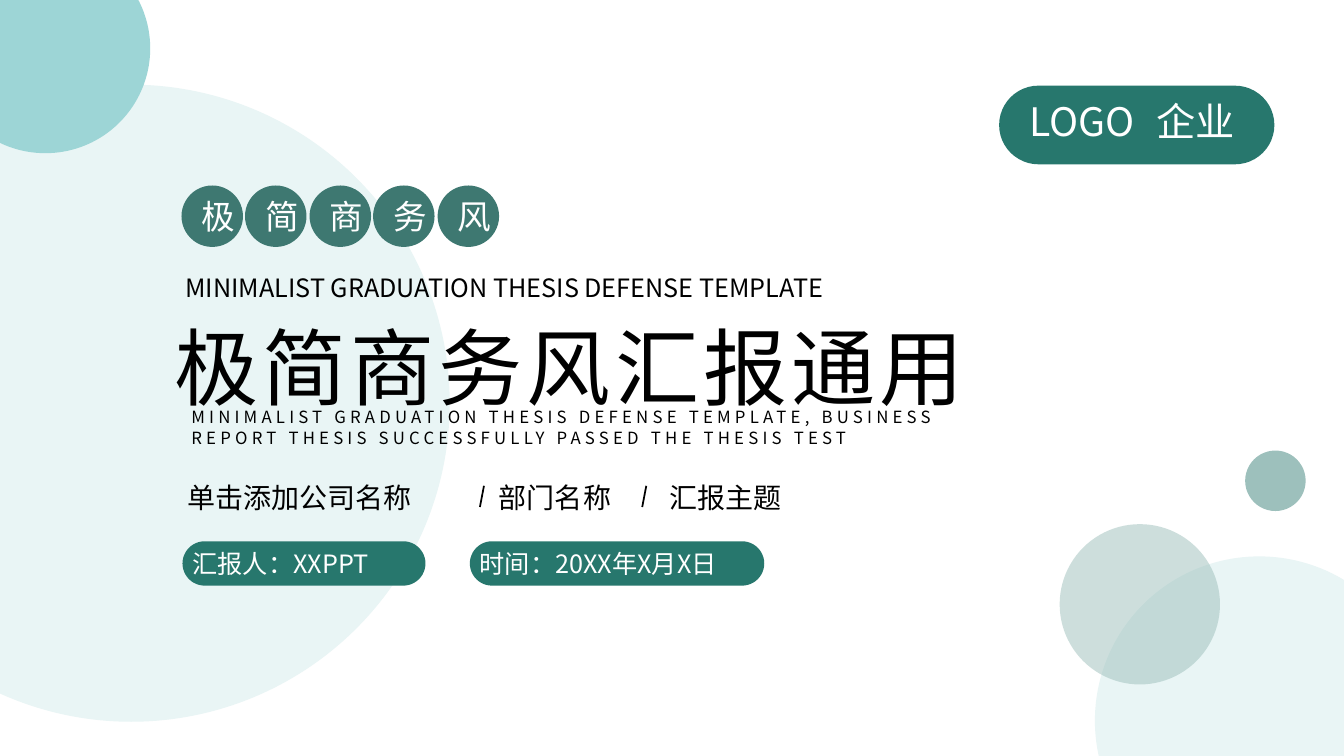
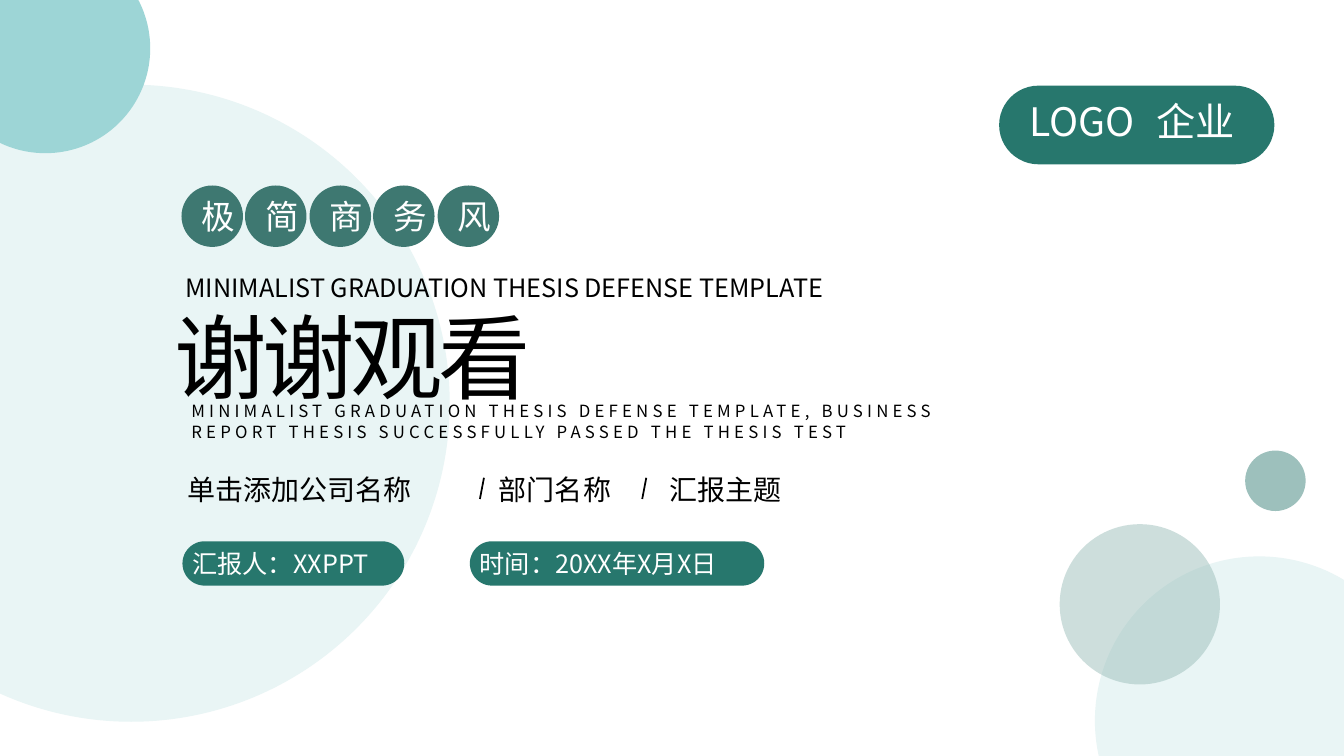
from lxml import etree
from pptx import Presentation
from pptx.dml.color import RGBColor
from pptx.enum.shapes import MSO_CONNECTOR, MSO_SHAPE
from pptx.enum.text import MSO_AUTO_SIZE, PP_ALIGN
from pptx.oxml.ns import qn
from pptx.util import Emu, Pt

ELLIPSE = MSO_SHAPE.OVAL
ROUNDED = MSO_SHAPE.ROUNDED_RECTANGLE
STRAIGHT = MSO_CONNECTOR.STRAIGHT
LEFT, CENTER, JUSTIFY = PP_ALIGN.LEFT, PP_ALIGN.CENTER, PP_ALIGN.JUSTIFY
GROW = MSO_AUTO_SIZE.SHAPE_TO_FIT_TEXT

FONT = "Noto Sans CJK SC"
EMU_PER_PX = 9144  # 100 px to the inch
WIDTH, HEIGHT = 1333, 750

WHITE, BLACK = "FFFFFF", "000000"
PALE, AQUA, SAGE = "E9F5F5", "9DD5D6", "9DC0BC"
GREEN, BADGE_GREEN = "27776D", "3E7871"

BADGES = "极简商务风"
ENGLISH_TITLE = "MINIMALIST GRADUATION THESIS DEFENSE TEMPLATE"
SUBTITLE = (ENGLISH_TITLE + ", BUSINESS REPORT THESIS "
            "SUCCESSFULLY PASSED THE THESIS TEST")


def px(length):
    return Emu(length * EMU_PER_PX)


def color(value):
    return RGBColor.from_string(value)


class Deck:
    """Holds the shared style and the slide being drawn."""

    def __init__(self):
        self.presentation = Presentation()
        self.presentation.slide_width = px(WIDTH)
        self.presentation.slide_height = px(HEIGHT)
        self.slide = None

    def new_slide(self):
        self.slide = self.presentation.slides.add_slide(
            self.presentation.slide_layouts[6])
        background = self.slide.background.fill
        background.solid()
        background.fore_color.rgb = color(WHITE)

    def shape(self, kind, left, top, width, height, fill):
        shape = self.slide.shapes.add_shape(
            kind, px(left), px(top), px(width), px(height))
        shape.shadow.inherit = False
        shape.fill.solid()
        shape.fill.fore_color.rgb = color(fill)
        shape.line.fill.background()
        return shape

    def circle(self, left, top, size, fill, opacity=100):
        shape = self.shape(ELLIPSE, left, top, size, size, fill)
        if opacity < 100:
            fill_color = shape._element.spPr.find(
                qn("a:solidFill")).find(qn("a:srgbClr"))
            alpha = etree.SubElement(fill_color, qn("a:alpha"))
            alpha.set("val", str(opacity * 1000))

    def pill(self, left, top, width, height):
        self.shape(ROUNDED, left, top, width, height, GREEN).adjustments[0] = 0.5

    def text(self, text, left, top, width, height, size,
             fill=BLACK, align=JUSTIFY, spacing=0):
        box = self.slide.shapes.add_textbox(
            px(left), px(top), px(width), px(height))
        frame = box.text_frame
        frame.word_wrap = True
        frame.auto_size = GROW
        frame.text = text
        paragraph = frame.paragraphs[0]
        paragraph.alignment = align
        run = paragraph.runs[0]
        run.font.size = Pt(size)
        run.font.color.rgb = color(fill)
        run.font.name = FONT
        properties = run._r.get_or_add_rPr()
        etree.SubElement(properties, qn("a:ea")).set("typeface", FONT)
        if spacing:
            properties.set("spc", str(spacing * 100))

    def slash(self, left, top):
        line = self.slide.shapes.add_connector(
            STRAIGHT, px(left), px(top + 21), px(left + 4), px(top))
        line.line.color.rgb = color(BLACK)
        line.line.width = Pt(1.25)
        etree.SubElement(line._element.spPr, qn("a:effectLst"))

    def badges(self):
        lefts = [180 + index * 127 // 2 for index in range(len(BADGES))]
        for left in lefts:
            self.circle(left, 184, 61, BADGE_GREEN)
        for left, character in zip(lefts, BADGES):
            self.text(character, left + 10, 189, 42, 50, 24, WHITE, CENTER)

    def details(self, top):
        self.text("单击添加公司名称", 176, top, 290, 44, 20)
        for left, label in ((485, "部门名称"), (654, "汇报主题")):
            self.text(label, left, top, 144, 44, 20)
        for left in (476, 637):
            self.slash(left, top + 10)

    def tag(self, text, left, width):
        self.pill(left, 537, width, 44)
        # The box is a little wider than the pill to keep one line
        self.text(text, left, 539, width + 4, 40, 18, WHITE)

    def logo(self):
        self.pill(991, 85, 273, 78)
        self.text("LOGO", 1011, 92, 140, 57, 28, WHITE, LEFT)
        self.text("企业", 1119, 92, 133, 57, 28, WHITE, CENTER)

    def cover(self, title, subtitle_top, details_top, reporter_width):
        """Draws a cover; title holds the arguments of its text box."""
        self.new_slide()
        # Upper left circles and badges
        self.circle(-186, 84, 632, PALE)
        self.circle(-59, -56, 208, AQUA)
        self.badges()
        # Titles
        self.text(**title)
        self.text(ENGLISH_TITLE, 174, 265, 871, 40, 18)
        # Lower right circles
        self.circle(1086, 552, 326, PALE)
        self.circle(1235, 447, 60, SAGE)
        # Subtitle, details and tags
        self.text(SUBTITLE, 180, subtitle_top, 845, 50, 12,
                  align=LEFT, spacing=3)
        self.details(details_top)
        self.tag("汇报人：XXPPT", 181, reporter_width)
        self.tag("时间：20XX年X月X日", 466, 292)
        self.logo()
        self.circle(1051, 520, 159, SAGE, opacity=51)


def main():
    deck = Deck()
    # Opening
    deck.cover(
        dict(text="极简商务风汇报通用", left=163, top=308, width=1008,
             height=111, size=60, align=LEFT, spacing=3),
        subtitle_top=399, details_top=472, reporter_width=241)
    # Closing
    deck.cover(
        dict(text="谢谢观看", left=163, top=293, width=591,
             height=121, size=66, spacing=-3),
        subtitle_top=393, details_top=464, reporter_width=220)
    deck.presentation.save("out.pptx")


if __name__ == "__main__":
    main()
